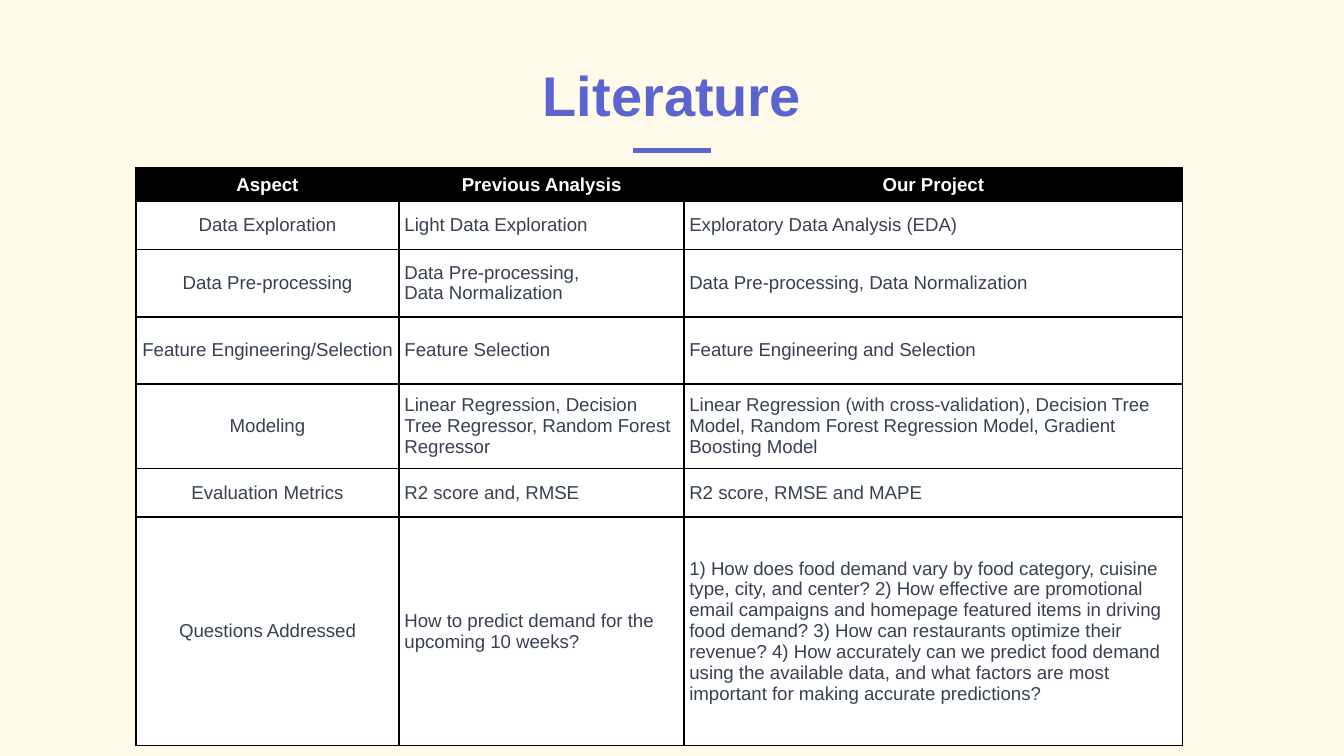
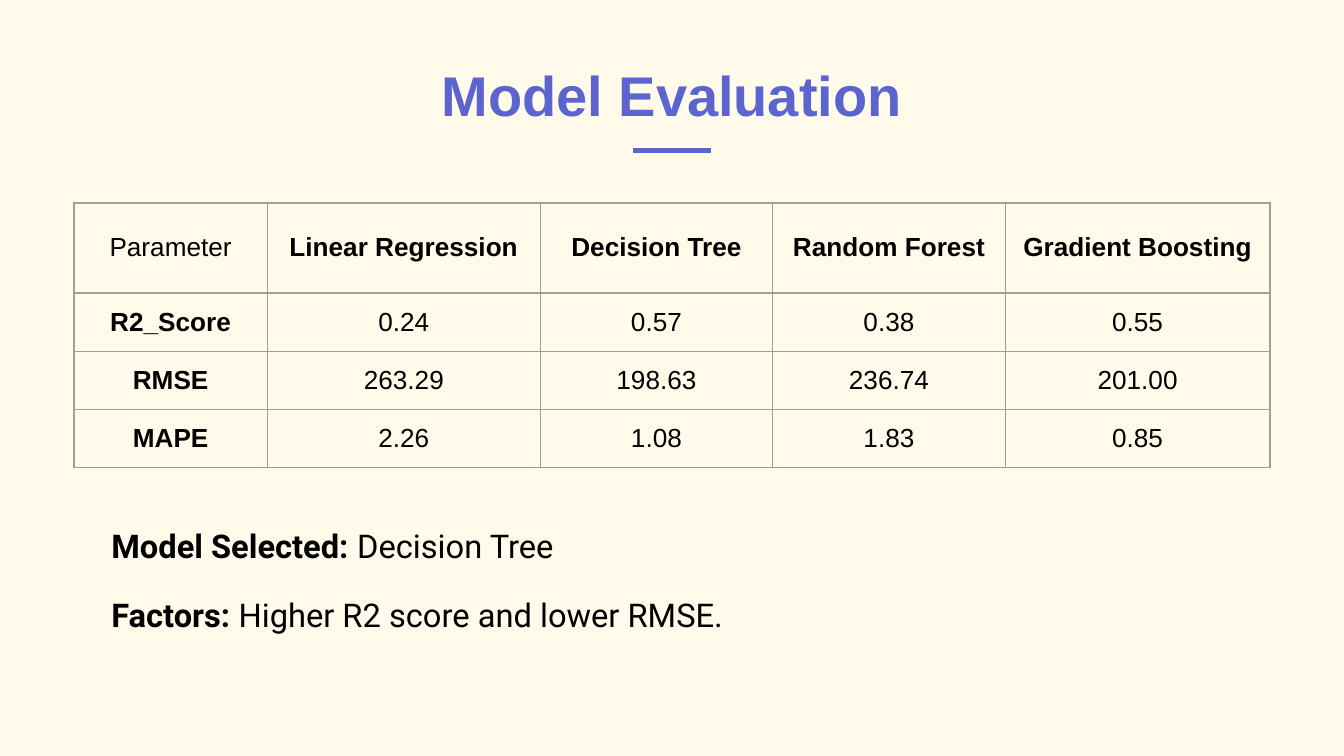
from dataclasses import dataclass

from lxml.etree import SubElement
from pptx import Presentation
from pptx.dml.color import RGBColor
from pptx.enum.shapes import MSO_CONNECTOR
from pptx.enum.text import MSO_ANCHOR, PP_ALIGN
from pptx.oxml.ns import qn
from pptx.util import Inches, Pt


@dataclass(frozen=True)
class Theme:
    background: str = "FFFAEA"
    accent: str = "5C65CF"
    black: str = "000000"
    white: str = "FFFFFF"
    slate: str = "374151"
    grid: str = "9E9E9E"
    font: str = "Arial"
    body_font: str = "Roboto"
    title_size: float = 30
    body_size: float = 17.5
    score_size: float = 14
    detail_size: float = 10


THEME = Theme()

LITERATURE = [
    ["Aspect", "Previous Analysis", "Our Project"],
    ["Data Exploration", "Light Data Exploration", "Exploratory Data Analysis (EDA)"],
    ["Data Pre-processing", "Data Pre-processing,\nData Normalization",
     "Data Pre-processing, Data Normalization"],
    ["Feature Engineering/Selection", "Feature Selection", "Feature Engineering and Selection"],
    ["Modeling", "Linear Regression, Decision Tree Regressor, Random Forest Regressor",
     "Linear Regression (with cross-validation), Decision Tree Model, "
     "Random Forest Regression Model, Gradient Boosting Model"],
    ["Evaluation Metrics", "R2 score and, RMSE", "R2 score, RMSE and MAPE"],
    ["Questions Addressed", "How to predict demand for the upcoming 10 weeks?",
     "1) How does food demand vary by food category, cuisine type, city, and center? "
     "2) How effective are promotional email campaigns and homepage featured items in "
     "driving food demand? 3) How can restaurants optimize their revenue? "
     "4) How accurately can we predict food demand using the available data, and what "
     "factors are most important for making accurate predictions?"],
]

SCORES = [
    ["Parameter", "Linear Regression", "Decision Tree", "Random Forest", "Gradient Boosting"],
    ["R2_Score", "0.24", "0.57", "0.38", "0.55"],
    ["RMSE", "263.29", "198.63", "236.74", "201.00"],
    ["MAPE", "2.26", "1.08", "1.83", "0.85"],
]

CONCLUSIONS = [
    [("Model Selected:", True), (" Decision Tree", False)],
    [("Factors: ", True), ("Higher R2 score and lower RMSE.", False)],
]


def write_text(frame, paragraphs, *, size, color=THEME.black, font=THEME.font,
               align=PP_ALIGN.LEFT, gap=0):
    """Fill a frame with paragraphs, each a list of (text, bold) pairs."""
    for index, spans in enumerate(paragraphs):
        para = frame.add_paragraph() if index else frame.paragraphs[0]
        para.alignment = align
        para.space_before = Pt(gap if index else 0)
        for text, bold in spans:
            span = para.add_run()
            span.text = text
            span.font.name = font
            span.font.size = Pt(size)
            span.font.bold = bold
            span.font.color.rgb = RGBColor.from_string(color)


def add_text_box(slide, left, top, width, height, paragraphs, anchor=MSO_ANCHOR.TOP, **style):
    box = slide.shapes.add_textbox(Inches(left), Inches(top), Inches(width), Inches(height))
    frame = box.text_frame
    frame.word_wrap = True
    frame.vertical_anchor = anchor
    frame.margin_left = frame.margin_right = Inches(0.1)
    frame.margin_top = frame.margin_bottom = Inches(0.1)
    write_text(frame, paragraphs, **style)


def add_titled_slide(deck, title):
    slide = deck.slides.add_slide(deck.slide_layouts[6])
    rule = slide.shapes.add_connector(MSO_CONNECTOR.STRAIGHT, Inches(4.71), Inches(1.12),
                                      Inches(5.29), Inches(1.12))
    rule.line.color.rgb = RGBColor.from_string(THEME.accent)
    rule.line.width = Pt(3)
    SubElement(rule._element.spPr, qn("a:effectLst"))
    add_text_box(slide, 0.78, 0.22, 8.44, 0.83, [[(title, True)]], anchor=MSO_ANCHOR.BOTTOM,
                 size=THEME.title_size, color=THEME.accent, align=PP_ALIGN.CENTER)
    return slide


def add_grid(slide, left, top, columns, heights):
    """Add an unstyled table with the given column widths and row heights."""
    frame = slide.shapes.add_table(len(heights), len(columns), Inches(left), Inches(top),
                                   Inches(sum(columns)), Inches(sum(heights)))
    table = frame.table
    table.first_row = table.horz_banding = False
    for column, width in zip(table.columns, columns):
        column.width = Inches(width)
    for row, height in zip(table.rows, heights):
        row.height = Inches(height)
    return table


def set_borders(cell, color, width):
    properties = cell._tc.get_or_add_tcPr()
    for side in ("lnL", "lnR", "lnT", "lnB"):
        line = SubElement(properties, qn(f"a:{side}"), w=str(Pt(width)))
        fill = SubElement(line, qn("a:solidFill"))
        SubElement(fill, qn("a:srgbClr"), val=color)


def fill_cell(cell, text, *, border, border_width, margin, bold=False, fill=None, **style):
    set_borders(cell, border, border_width)
    if fill:
        cell.fill.solid()
        cell.fill.fore_color.rgb = RGBColor.from_string(fill)
    else:
        cell.fill.background()
    cell.vertical_anchor = MSO_ANCHOR.MIDDLE
    cell.margin_left = cell.margin_right = Inches(margin)
    cell.margin_top = cell.margin_bottom = Inches(margin)
    write_text(cell.text_frame, [[(line, bold)] for line in text.split("\n")], **style)


def add_literature_table(slide):
    table = add_grid(slide, 1.01, 1.25, [1.96, 2.12, 3.71],
                     [0.23, 0.36, 0.5, 0.5, 0.63, 0.36, 1.7])
    for r, row in enumerate(LITERATURE):
        header = r == 0
        for c, text in enumerate(row):
            fill_cell(table.cell(r, c), text, border=THEME.black, border_width=1, margin=0.04,
                      bold=header, fill=THEME.black if header else THEME.white,
                      size=THEME.detail_size, color=THEME.white if header else THEME.slate,
                      align=PP_ALIGN.CENTER if header or c == 0 else PP_ALIGN.LEFT)


def add_score_table(slide):
    table = add_grid(slide, 0.55, 1.51, [1.44, 2.03, 1.73, 1.73, 1.97], [0.67] + [0.43] * 3)
    for r, row in enumerate(SCORES):
        for c, text in enumerate(row):
            fill_cell(table.cell(r, c), text, border=THEME.grid, border_width=0.75, margin=0.1,
                      bold=(r == 0) != (c == 0), size=THEME.score_size, align=PP_ALIGN.CENTER)


def main():
    deck = Presentation()
    deck.slide_width = Inches(10)
    deck.slide_height = deck.slide_width * 9 // 16
    background = deck.slide_master.background.fill
    background.solid()
    background.fore_color.rgb = RGBColor.from_string(THEME.background)

    add_literature_table(add_titled_slide(deck, "Literature"))

    evaluation = add_titled_slide(deck, "Model Evaluation")
    add_score_table(evaluation)
    add_text_box(evaluation, 0.73, 3.81, 9.19, 0.6, CONCLUSIONS,
                 size=THEME.body_size, font=THEME.body_font, gap=16)

    deck.save("out.pptx")


if __name__ == "__main__":
    main()
